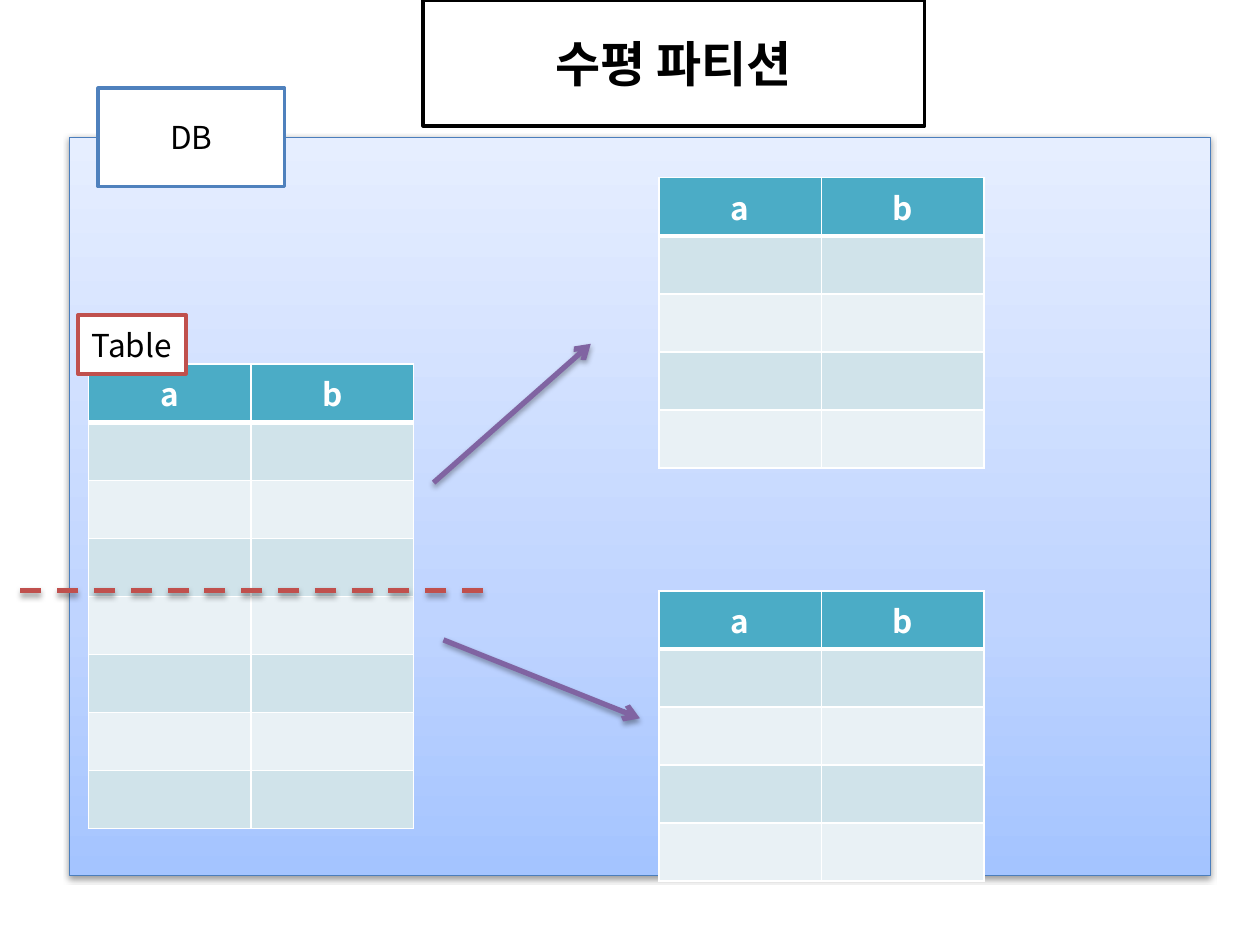
from dataclasses import dataclass

from lxml import etree
from pptx import Presentation
from pptx.dml.color import RGBColor
from pptx.enum.dml import MSO_LINE
from pptx.enum.shapes import MSO_CONNECTOR, MSO_SHAPE
from pptx.enum.text import MSO_ANCHOR, PP_ALIGN
from pptx.oxml import parse_xml
from pptx.oxml.ns import nsdecls, qn
from pptx.util import Cm, Pt

RECT = MSO_SHAPE.RECTANGLE
STRAIGHT = MSO_CONNECTOR.STRAIGHT
DASH = MSO_LINE.DASH
MIDDLE = MSO_ANCHOR.MIDDLE
CENTER = PP_ALIGN.CENTER


@dataclass(frozen=True)
class Theme:
    font: str = "Noto Sans CJK KR"
    body: int = 18
    title: int = 28
    black: str = "000000"
    white: str = "FFFFFF"
    blue: str = "4F81BD"
    frame: str = "4B7EBC"
    red: str = "C0504D"
    purple: str = "8064A2"
    header: str = "4BACC6"
    bands: tuple[str, str] = ("D0E3EA", "E9F1F5")
    gradient: tuple[tuple[int, str], ...] = (
        (0, "A4C4FF"), (35, "BFD4FF"), (100, "E6EEFF"))


@dataclass(frozen=True)
class Label:
    text: str
    box: tuple[float, float, float, float]
    line: str
    size: int
    bold: bool = False


@dataclass(frozen=True)
class Grid:
    left: float
    top: float
    rows: int


@dataclass(frozen=True)
class Line:
    start: tuple[float, float]
    end: tuple[float, float]
    color: str
    arrow: bool = True


T = Theme()
COL_W, ROW_H = 3.28, 1.17
HEADINGS = ("a", "b")

DB = Label("DB", (1.98, 1.78, 3.76, 1.98), T.blue, T.body)
TABLE = Label("Table", (1.57, 6.35, 2.18, 1.19), T.red, T.body)
TITLE = Label("수평 파티션", (8.53, 0, 10.11, 2.54), T.black, T.title, True)
SOURCE = Grid(1.78, 7.34, 8)
UPPER = Grid(13.28, 3.58, 5)
LOWER = Grid(13.28, 11.91, 5)
CUT = Line((0.41, 11.91), (9.73, 11.91), T.red, arrow=False)
TO_UPPER = Line((8.74, 9.73), (11.91, 6.93), T.purple)
TO_LOWER = Line((8.94, 12.9), (12.9, 14.48), T.purple)


def rgb(color: str) -> RGBColor:
    return RGBColor.from_string(color)


def add_shadow(sp, alpha: int, dist: float) -> None:
    props = sp._element.spPr
    effects = props.find(qn("a:effectLst"))
    if effects is None:
        effects = etree.SubElement(props, qn("a:effectLst"))
    effects.append(parse_xml(
        f'<a:outerShdw {nsdecls("a")} blurRad="{Pt(3.15)}" dist="{Pt(dist)}" '
        f'dir="5400000" rotWithShape="0"><a:srgbClr val="{T.black}">'
        f'<a:alpha val="{alpha * 1000}"/></a:srgbClr></a:outerShdw>'))


def write(tf, text: str, *, size: int, color: str, bold: bool = False) -> None:
    p = tf.paragraphs[0]
    p.alignment = CENTER
    r = p.add_run()
    r.text = text
    r.font.name, r.font.size, r.font.bold = T.font, Pt(size), bold
    r.font.color.rgb = rgb(color)
    etree.SubElement(r.font._element, qn("a:ea"), typeface=T.font)


def add_rect(s, box: tuple[float, ...], *, line: str, width: float):
    sp = s.shapes.add_shape(RECT, *(Cm(v) for v in box))
    sp.shadow.inherit = False
    sp.fill.solid()
    sp.fill.fore_color.rgb = rgb(T.white)
    sp.line.color.rgb = rgb(line)
    sp.line.width = Pt(width)
    return sp


def add_frame(s) -> None:
    sp = add_rect(s, (1.4, 2.77, 23.01, 14.88), line=T.frame, width=0.75)
    stops = "".join(
        f'<a:gs pos="{pos * 1000}"><a:srgbClr val="{color}"/></a:gs>'
        for pos, color in T.gradient)
    props = sp._element.spPr
    props.replace(props.find(qn("a:solidFill")), parse_xml(
        f'<a:gradFill {nsdecls("a")} rotWithShape="1"><a:gsLst>{stops}</a:gsLst>'
        '<a:lin ang="16200000" scaled="0"/></a:gradFill>'))
    add_shadow(sp, 38, 1.6)


def add_label(s, label: Label) -> None:
    sp = add_rect(s, label.box, line=label.line, width=2)
    tf = sp.text_frame
    tf.word_wrap = True
    tf.vertical_anchor = MIDDLE
    write(tf, label.text, size=label.size, color=T.black, bold=label.bold)


def set_borders(cell, **widths: float) -> None:
    tc_pr = cell._tc.get_or_add_tcPr()
    for i, side in enumerate("LRTB"):
        tc_pr.insert(i, parse_xml(
            f'<a:ln{side} {nsdecls("a")} w="{Pt(widths.get(side, 1))}">'
            f'<a:solidFill><a:srgbClr val="{T.white}"/></a:solidFill></a:ln{side}>'))


def add_grid(s, grid: Grid) -> None:
    table = s.shapes.add_table(
        grid.rows, len(HEADINGS), Cm(grid.left), Cm(grid.top),
        Cm(COL_W * len(HEADINGS)), Cm(ROW_H * grid.rows)).table
    table.horz_banding = False
    for col in table.columns:
        col.width = Cm(COL_W)
    for i, row in enumerate(table.rows):
        row.height = Cm(ROW_H)
        for cell, heading in zip(row.cells, HEADINGS):
            cell.fill.solid()
            cell.fill.fore_color.rgb = rgb(T.bands[(i - 1) % 2] if i else T.header)
            # Thick rule under the header
            set_borders(cell, T=3 if i == 1 else 1, B=1 if i else 3)
            if i == 0:
                write(cell.text_frame, heading, size=T.body, color=T.white, bold=True)


def add_line(s, line: Line) -> None:
    cx = s.shapes.add_connector(STRAIGHT, *(Cm(v) for v in line.start + line.end))
    cx.line.color.rgb = rgb(line.color)
    cx.line.width = Pt(3)
    if line.arrow:
        etree.SubElement(cx.line._get_or_add_ln(), qn("a:tailEnd"), type="arrow")
    else:
        cx.line.dash_style = DASH
    add_shadow(cx, 35, 1.8)


prs = Presentation()
prs.slide_width, prs.slide_height = Cm(25.4), Cm(19.05)
s = prs.slides.add_slide(prs.slide_layouts[6])

# Database and its full table
add_frame(s)
add_label(s, DB)
add_grid(s, SOURCE)
add_label(s, TABLE)

# Split into two partitions
add_grid(s, UPPER)
add_line(s, CUT)
add_line(s, TO_UPPER)
add_grid(s, LOWER)
add_line(s, TO_LOWER)

# Title
add_label(s, TITLE)

prs.save("out.pptx")
